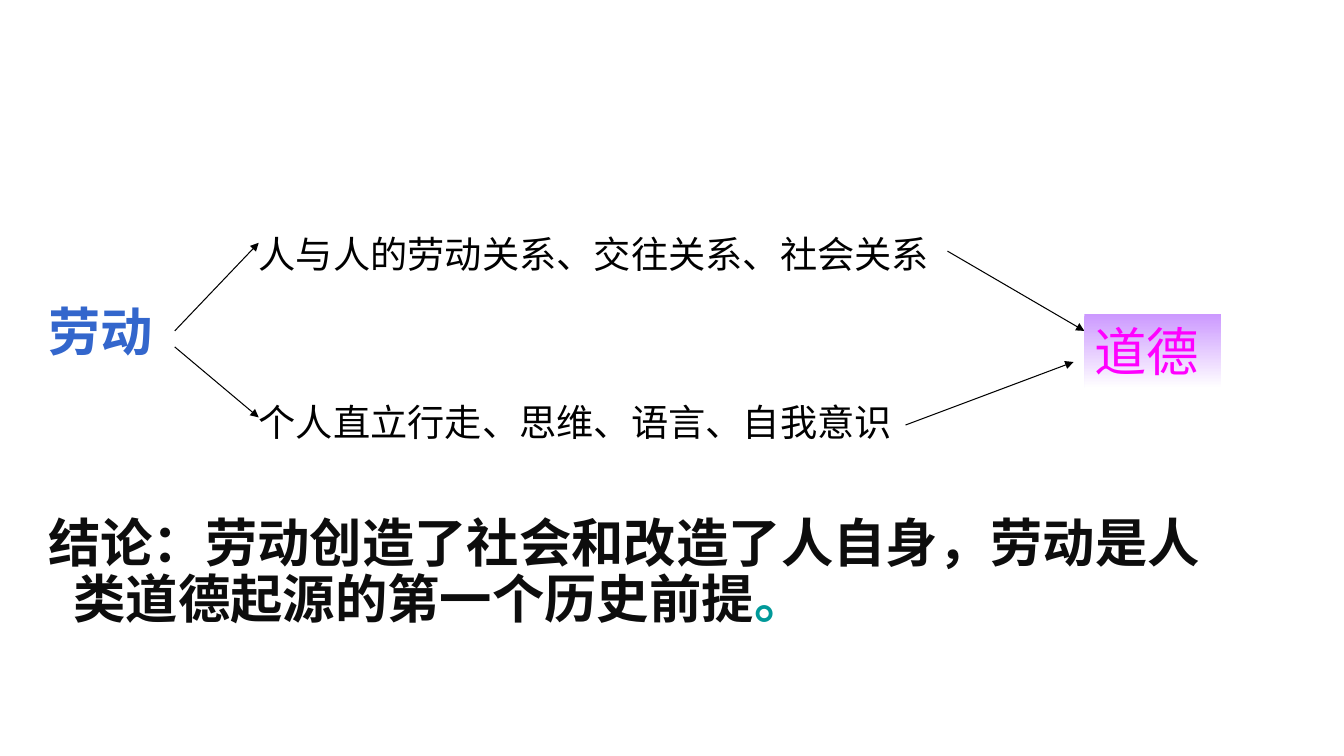
from dataclasses import dataclass

import pptx
import pptx.dml.color
import pptx.enum.shapes
import pptx.enum.text
import pptx.oxml
import pptx.oxml.ns
import pptx.util


@dataclass(frozen=True)
class Theme:
    font: str = "Calibri"
    heavy_font: str = "Noto Sans CJK SC"
    large: float = 37.4
    medium: float = 26.6
    line_width: float = 0.75
    black: str = "000000"
    blue: str = "3366CC"
    ink: str = "0D0D0D"
    teal: str = "009999"
    magenta: str = "FF00FF"
    lilac: str = "CC99FF"
    white: str = "FFFFFF"


@dataclass(frozen=True)
class Area:
    column: float
    row: float
    columns: float
    rows: float


@dataclass(frozen=True)
class Branch:
    text: str
    area: Area


@dataclass(frozen=True)
class Arrow:
    start: tuple[float, float]
    end: tuple[float, float]


THEME = Theme()
COLUMNS, ROWS = 160, 90
CELL = pptx.util.Inches(13.333) / COLUMNS

# Content, placed in grid columns and rows
STATEMENT = Area(4.56, 35.9, 143.4, 44.6)
MORALITY = Area(129.1, 37.4, 16.3, 8.8)
BRANCHES = [
    Branch("人与人的劳动关系、交往关系、社会关系", Area(29.6, 27, 93.2, 6.6)),
    Branch("个人直立行走、思维、语言、自我意识", Area(29.6, 46.9, 83.2, 6.6)),
]
ARROWS = [
    Arrow((20.8, 39.4), (30.8, 28.9)),
    Arrow((20.8, 41.3), (30.8, 49.7)),
    Arrow((112.8, 29.9), (129.1, 39.4)),
    Arrow((107.8, 50.6), (127.8, 43.1)),
]


def cells(*counts: float) -> list[int]:
    return [round(count * CELL) for count in counts]


def bounds(area: Area) -> list[int]:
    return cells(area.column, area.row, area.columns, area.rows)


def rgb(value: str) -> pptx.dml.color.RGBColor:
    return pptx.dml.color.RGBColor.from_string(value)


def style_run(run, size: float, colour: str, font: str = THEME.font, bold: bool = False) -> None:
    run.font.name = font
    run.font.size = pptx.util.Pt(size)
    run.font.bold = bold
    run.font.color.rgb = rgb(colour)
    # East Asian typeface, which sets the line height
    properties = run.font._element
    east_asian = pptx.oxml.parse_xml(
        f'<a:ea {pptx.oxml.ns.nsdecls("a")} typeface="{THEME.font}"/>')
    properties.find(pptx.oxml.ns.qn("a:latin")).addnext(east_asian)


def write_label(shape, text: str, size: float, colour: str) -> None:
    frame = shape.text_frame
    frame.word_wrap = True
    frame.vertical_anchor = pptx.enum.text.MSO_ANCHOR.TOP
    frame.text = text
    paragraph = frame.paragraphs[0]
    paragraph.alignment = pptx.enum.text.PP_ALIGN.LEFT
    style_run(paragraph.runs[0], size, colour)


def draw_statement(slide) -> None:
    frame = slide.shapes.add_textbox(*bounds(STATEMENT)).text_frame
    frame.word_wrap = True
    frame.text = "劳动\n结论：劳动创造了社会和改造了人自身，劳动是人类道德起源的第一个历史前提"
    labour, conclusion = frame.paragraphs
    conclusion.space_before = pptx.util.Pt(110)
    conclusion.add_run().text = "。"
    for paragraph in (labour, conclusion):
        paragraph.line_spacing = 0.9
        indent = pptx.util.Inches(0.25)
        paragraph._p.get_or_add_pPr().set("marL", str(indent))
        paragraph._p.get_or_add_pPr().set("indent", str(-indent))
    colours = (THEME.blue, THEME.ink, THEME.teal)
    for run, colour in zip(labour.runs + conclusion.runs, colours):
        style_run(run, THEME.large, colour, THEME.heavy_font, bold=True)


def draw_arrow(slide, arrow: Arrow) -> None:
    connector = slide.shapes.add_connector(
        pptx.enum.shapes.MSO_CONNECTOR.STRAIGHT, *cells(*arrow.start, *arrow.end))
    connector.line.width = pptx.util.Pt(THEME.line_width)
    connector.line.color.rgb = rgb(THEME.black)
    namespace = pptx.oxml.ns.nsdecls("a")
    connector.line._get_or_add_ln().append(
        pptx.oxml.parse_xml(f'<a:tailEnd {namespace} type="triangle"/>'))
    connector._element.spPr.append(pptx.oxml.parse_xml(f"<a:effectLst {namespace}/>"))


def draw_morality(slide) -> None:
    morality = slide.shapes.add_shape(
        pptx.enum.shapes.MSO_SHAPE.RECTANGLE, *bounds(MORALITY))
    morality.shadow.inherit = False
    morality.line.fill.background()
    morality.fill.gradient()
    morality.fill.gradient_angle = 270
    for stop, colour in zip(morality.fill.gradient_stops, (THEME.lilac, THEME.white)):
        stop.color.rgb = rgb(colour)
    write_label(morality, "道德", THEME.large, THEME.magenta)


def main() -> None:
    presentation = pptx.Presentation()
    presentation.slide_width, presentation.slide_height = cells(COLUMNS, ROWS)
    slide = presentation.slides.add_slide(presentation.slide_layouts[6])

    # Labour and the conclusion
    draw_statement(slide)

    # Two branches leading to morality
    for arrow in ARROWS:
        draw_arrow(slide, arrow)
    for branch in BRANCHES:
        box = slide.shapes.add_textbox(*bounds(branch.area))
        write_label(box, branch.text, THEME.medium, THEME.black)
    draw_morality(slide)

    presentation.save("out.pptx")


if __name__ == "__main__":
    main()
